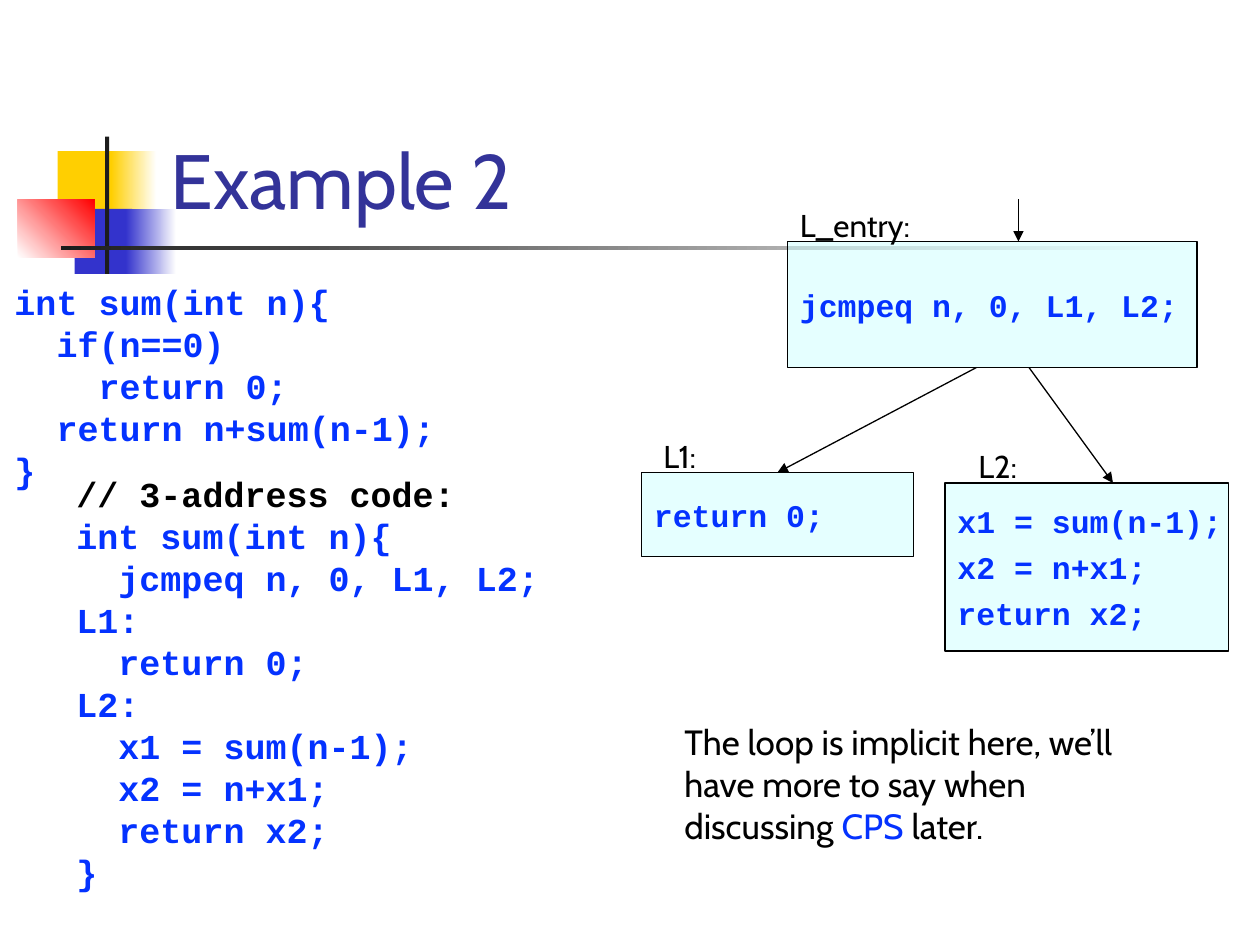
from lxml.etree import SubElement as Sub
from pptx import Presentation
from pptx.dml.color import RGBColor as RGB
from pptx.enum.shapes import MSO_CONNECTOR as Link, MSO_SHAPE as Form
from pptx.enum.text import MSO_ANCHOR as Anchor, PP_ALIGN as Align
from pptx.oxml.ns import qn
from pptx.util import Inches, Pt

# Grid of 120 columns by 90 rows
WIDE, HIGH = Inches(10), Inches(7.5)
COL, ROW = WIDE / 120, HIGH / 90

BLACK = RGB(0, 0, 0)
WHITE = RGB(255, 255, 255)
DARK = RGB(0x1C, 0x1C, 0x1C)
GOLD = RGB(0xFF, 0xCF, 0x01)
NAVY = RGB(0x33, 0x33, 0xCC)
RED = RGB(0xFF, 0, 0)
INDIGO = RGB(0x33, 0x33, 0x99)
BLUE = RGB(0x04, 0x32, 0xFF)
AQUA = RGB(0xCC, 0xFF, 0xFF)

HEAD = {"name": "Cabin", "size": Pt(44)}
LABEL = {"name": "Cabin", "size": Pt(18)}
NOTE = {"name": "Cabin", "size": Pt(20)}
CODE = {"name": "Courier New", "size": Pt(20), "bold": True}
STEP = {**CODE, "size": Pt(18)}

# Column, row, columns, rows, colours, angle
DECOR = [
    (5.5, 14.4, 5.8, 6.2, [GOLD], 0),
    (10.6, 14.4, 4.3, 6.2, [GOLD, WHITE], 0),
    (7.1, 19.9, 5.5, 6.2, [NAVY], 0),
    (12, 19.9, 4.8, 6.2, [NAVY, WHITE], 0),
    (1.7, 19, 7.3, 5.5, [WHITE, RED], 45),
    (10, 13, 0.4, 13.8, [DARK], 0),
    (5.8, 23.4, 108, 0.4, [DARK, WHITE], 0),
]

SOURCE = """int sum(int n){
  if(n==0)
    return 0;
  return n+sum(n-1);
}"""

TITLE = "// 3-address code:"
THREE = """int sum(int n){
  jcmpeq n, 0, L1, L2;
L1:
  return 0;
L2:
  x1 = sum(n-1);
  x2 = n+x1;
  return x2;
}"""


def place(col, row, cols, rows):
    return [round(v) for v in (col * COL, row * ROW, cols * COL, rows * ROW)]


def rect(slide, area, tints, angle=0):
    shape = slide.shapes.add_shape(Form.RECTANGLE, *place(*area))
    shape.shadow.inherit = False
    shape.line.fill.background()
    fill = shape.fill
    if len(tints) == 1:
        fill.solid()
        fill.fore_color.rgb = tints[0]
    else:
        fill.gradient()
        fill.gradient_angle = angle
        for stop, tint in zip(fill.gradient_stops, tints):
            stop.color.rgb = tint
    return shape


def write(frame, lines, style, gap=0):
    """Each line is a list of (text, colour) runs."""
    for i, runs in enumerate(lines):
        para = frame.add_paragraph() if i else frame.paragraphs[0]
        para.alignment = Align.LEFT
        if i and gap:
            para.space_before = Pt(gap)
        for text, tint in runs:
            run = para.add_run()
            run.text = text
            for key, value in style.items():
                setattr(run.font, key, value)
            run.font.color.rgb = tint


def paint(text, tint=BLUE):
    return [[(line, tint)] for line in text.split("\n")]


def words(slide, area, lines, style, wrap=True, anchor=Anchor.TOP):
    box = slide.shapes.add_textbox(*place(*area))
    box.text_frame.word_wrap = wrap
    box.text_frame.vertical_anchor = anchor
    write(box.text_frame, lines, style)
    return box


def listing(slide, area, lines):
    box = words(slide, area, lines, CODE, wrap=False)
    box.fill.solid()
    box.fill.fore_color.rgb = WHITE


def block(slide, area, text):
    """Half-clear box of a flow graph."""
    shape = rect(slide, area, [AQUA])
    tint = shape._element.spPr.find(qn("a:solidFill"))[0]
    Sub(tint, qn("a:alpha"), val="50000")
    shape.line.color.rgb = BLACK
    shape.line.width = Pt(0.75)
    frame = shape.text_frame
    frame.word_wrap = False
    frame.vertical_anchor = Anchor.MIDDLE
    write(frame, paint(text), STEP, gap=4.8)
    return shape


def arrow(slide, *ends):
    line = slide.shapes.add_connector(Link.STRAIGHT, *place(*ends))
    line.line.color.rgb = BLACK
    line.line.width = Pt(0.75)
    Sub(line.line._get_or_add_ln(), qn("a:tailEnd"), type="triangle")
    Sub(line._element.spPr, qn("a:effectLst"))
    return line


def main():
    deck = Presentation()
    deck.slide_width, deck.slide_height = WIDE, HIGH
    slide = deck.slides.add_slide(deck.slide_layouts[6])

    # Decoration and title
    for *area, tints, angle in DECOR:
        rect(slide, area, tints, angle)
    words(slide, (15.1, 2.8, 102.2, 19.2), paint("Example 2", INDIGO),
          HEAD, anchor=Anchor.BOTTOM)

    # Code on the left
    listing(slide, (0.2, 26.1, 42.9, 21.4), paint(SOURCE))
    listing(slide, (6.1, 44.4, 46.8, 41.6),
            paint(TITLE, BLACK) + paint(THREE))

    # Flow graph
    block(slide, (75, 23, 39, 12), "jcmpeq n, 0, L1, L2;")
    block(slide, (90, 46, 27, 16), "x1 = sum(n-1);\nx2 = n+x1;\nreturn x2;")
    base = block(slide, (61.1, 45, 25.9, 8), "return 0;")
    arrow(slide, 97, 19, 97, 23)
    arrow(slide, 93, 35, 74, 45).end_connect(base, 0)
    arrow(slide, 98, 35, 106, 46)
    for text, col, row, cols in [("L_entry:", 75, 19, 15),
                                 ("L1:", 62, 41, 9), ("L2:", 92, 42, 9)]:
        words(slide, (col, row, cols, 4.8), paint(text, BLACK), LABEL)

    # Remark
    remark = [("The loop is implicit here, we’ll have more to say when "
               "discussing ", BLACK), ("CPS ", BLUE), ("later.", BLACK)]
    words(slide, (64, 68, 48, 13.3), [remark], NOTE)

    deck.save("out.pptx")


if __name__ == "__main__":
    main()
